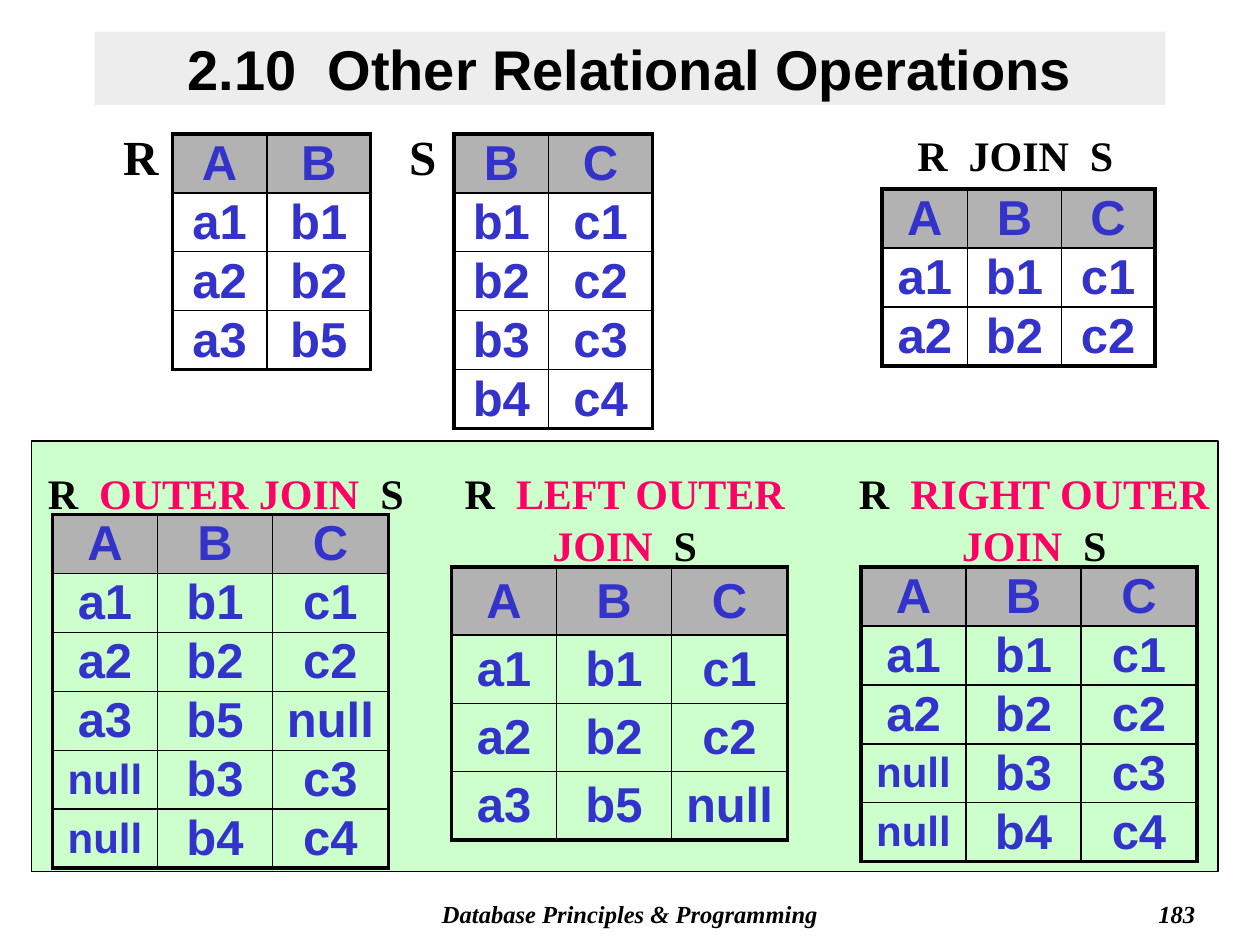
"""Build the slide that compares join and outer join results on two relations."""
from dataclasses import dataclass

import pptx
import pptx.dml.color
import pptx.enum.shapes
import pptx.enum.text
import pptx.oxml.ns
import pptx.util
from lxml import etree

Pt = pptx.util.Pt
RGBColor = pptx.dml.color.RGBColor
Align = pptx.enum.text.PP_ALIGN
Anchor = pptx.enum.text.MSO_ANCHOR
qn = pptx.oxml.ns.qn

BLACK = RGBColor(0, 0, 0)
BLUE = RGBColor(0x33, 0x33, 0xCC)
PINK = RGBColor(0xFF, 0x00, 0x66)
GREEN = RGBColor(0xCC, 0xFF, 0xCC)
GREY = RGBColor(0xB2, 0xB2, 0xB2)
PALE_GREY = RGBColor(0xDD, 0xDD, 0xDD)
SANS, SERIF = "Arial", "Times New Roman"
ROW_HEIGHT = 33.7
OUTER_LINE, INNER_LINE = 2.25, 1
PAIR_COLUMNS = (54, 59.25)
JOIN_COLUMNS = (49, 53.5, 53.5)
OUTER_COLUMNS = (60, 65.75, 66.25)


@dataclass(frozen=True)
class Relation:
    left: float
    top: float
    columns: tuple[float, ...]
    rows: str
    row_height: float = ROW_HEIGHT


@dataclass(frozen=True)
class Label:
    left: float
    top: float
    width: float
    height: float
    spans: tuple[str, ...]
    size: float = 24
    margin: float = 0
    top_margin: float = 2
    align: Align = Align.CENTER
    italic: bool = False


RELATIONS = (
    Relation(98.5, 76.5, PAIR_COLUMNS, "A B|a1 b1|a2 b2|a3 b5"),
    Relation(259.5, 76.5, PAIR_COLUMNS, "B C|b1 c1|b2 c2|b3 c3|b4 c4"),
    Relation(504, 108, JOIN_COLUMNS, "A B C|a1 b1 c1|a2 b2 c2"),
    Relation(30, 294, OUTER_COLUMNS,
             "A B C|a1 b1 c1|a2 b2 c2|a3 b5 null|null b3 c3|null b4 c4"),
    Relation(258, 324, OUTER_COLUMNS, "A B C|a1 b1 c1|a2 b2 c2|a3 b5 null", 39),
    Relation(492, 324, OUTER_COLUMNS, "A B C|a1 b1 c1|a2 b2 c2|null b3 c3|null b4 c4"),
)

LABELS = (
    Label(62.5, 70.5, 36, 34, ("R",), size=28, margin=7.2),
    Label(223.5, 70.5, 36, 34, ("S",), size=28, margin=7.2),
    Label(504, 72, 152.5, 29, ("R  JOIN  S",), margin=7.2),
    Label(24, 264, 210, 29, ("R  ", "OUTER JOIN", "  S")),
    Label(252, 264, 210, 58, ("R  ", "LEFT OUTER JOIN", "  S")),
    Label(486, 264, 210, 58, ("R  ", "RIGHT OUTER JOIN", "  S")),
    Label(204, 510, 312, 24, ("Database Principles & Programming",), 14, 7.2, 3.6,
          italic=True),
    Label(540, 510, 150, 24, ("183",), 14, 7.2, 3.6, Align.RIGHT, True),
)


def style_font(font: object, name: str, size: float, color: RGBColor) -> None:
    font.name = name
    font.size = Pt(size)
    font.bold = True
    font.color.rgb = color


def draw_title(page: object) -> None:
    title = page.shapes.title
    title.left, title.top, title.width, title.height = Pt(54), Pt(18), Pt(612), Pt(42)
    title.fill.solid()
    title.fill.fore_color.rgb = PALE_GREY
    color = title.fill._xPr.find(qn("a:solidFill")).find(qn("a:srgbClr"))
    etree.SubElement(color, qn("a:alpha"), val="50000")
    frame = title.text_frame
    frame.text = "2.10  Other Relational Operations"
    frame.auto_size = pptx.enum.text.MSO_AUTO_SIZE.NONE
    frame.vertical_anchor = Anchor.MIDDLE
    para = frame.paragraphs[0]
    para.alignment = Align.CENTER
    style_font(para.runs[0].font, SANS, 32, BLACK)


def draw_panel(page: object) -> None:
    panel = page.shapes.add_shape(pptx.enum.shapes.MSO_SHAPE.RECTANGLE,
                                  Pt(18), Pt(252), Pt(678), Pt(246))
    panel.shadow.inherit = False
    panel.fill.solid()
    panel.fill.fore_color.rgb = GREEN
    panel.line.color.rgb = BLACK
    panel.line.width = Pt(0.75)


def draw_label(page: object, label: Label) -> None:
    box = page.shapes.add_textbox(Pt(label.left), Pt(label.top),
                                  Pt(label.width), Pt(label.height))
    frame = box.text_frame
    frame.word_wrap = True
    frame.margin_left = frame.margin_right = Pt(label.margin)
    frame.margin_top, frame.margin_bottom = Pt(label.top_margin), 0
    para = frame.paragraphs[0]
    para.alignment = label.align
    if len(label.spans) > 1:
        para.line_spacing = 1.04
    for index, text in enumerate(label.spans):
        span = para.add_run()
        span.text = text
        style_font(span.font, SERIF, label.size, PINK if index == 1 else BLACK)
        span.font.italic = label.italic


def add_border(cell: object, side: str, width: float) -> None:
    line = etree.SubElement(cell._tc.get_or_add_tcPr(), qn(f"a:ln{side}"),
                            w=str(Pt(width)))
    fill = etree.SubElement(line, qn("a:solidFill"))
    etree.SubElement(fill, qn("a:srgbClr"), val=str(BLACK))


def draw_relation(page: object, relation: Relation) -> None:
    rows = [row.split() for row in relation.rows.split("|")]
    last_row, last_column = len(rows) - 1, len(relation.columns) - 1
    table = page.shapes.add_table(
        len(rows), len(relation.columns), Pt(relation.left), Pt(relation.top),
        Pt(sum(relation.columns)), Pt(relation.row_height * len(rows))).table
    table.first_row = table.horz_banding = False
    for column, width in zip(table.columns, relation.columns):
        column.width = Pt(width)
    for row_index, values in enumerate(rows):
        table.rows[row_index].height = Pt(relation.row_height)
        for column_index, value in enumerate(values):
            cell = table.cell(row_index, column_index)
            edges = {"L": column_index == 0, "R": column_index == last_column,
                     "T": row_index == 0, "B": row_index == last_row}
            for side, is_outer in edges.items():
                add_border(cell, side, OUTER_LINE if is_outer else INNER_LINE)
            if row_index == 0:
                cell.fill.solid()
                cell.fill.fore_color.rgb = GREY
            else:
                cell.fill.background()
            cell.margin_left = cell.margin_right = Pt(7.2)
            cell.margin_top = cell.margin_bottom = 0
            cell.vertical_anchor = Anchor.MIDDLE
            cell.text_frame.text = value
            para = cell.text_frame.paragraphs[0]
            para.alignment = Align.CENTER
            size = 24 if value == "null" and column_index == 0 else 28
            style_font(para.runs[0].font, SANS, size, BLUE)


def main() -> None:
    deck = pptx.Presentation()
    deck.slide_width, deck.slide_height = Pt(720), Pt(540)
    page = deck.slides.add_slide(deck.slide_layouts[5])
    draw_title(page)
    draw_panel(page)
    for relation in RELATIONS:
        draw_relation(page, relation)
    for label in LABELS:
        draw_label(page, label)
    deck.save("out.pptx")


if __name__ == "__main__":
    main()
